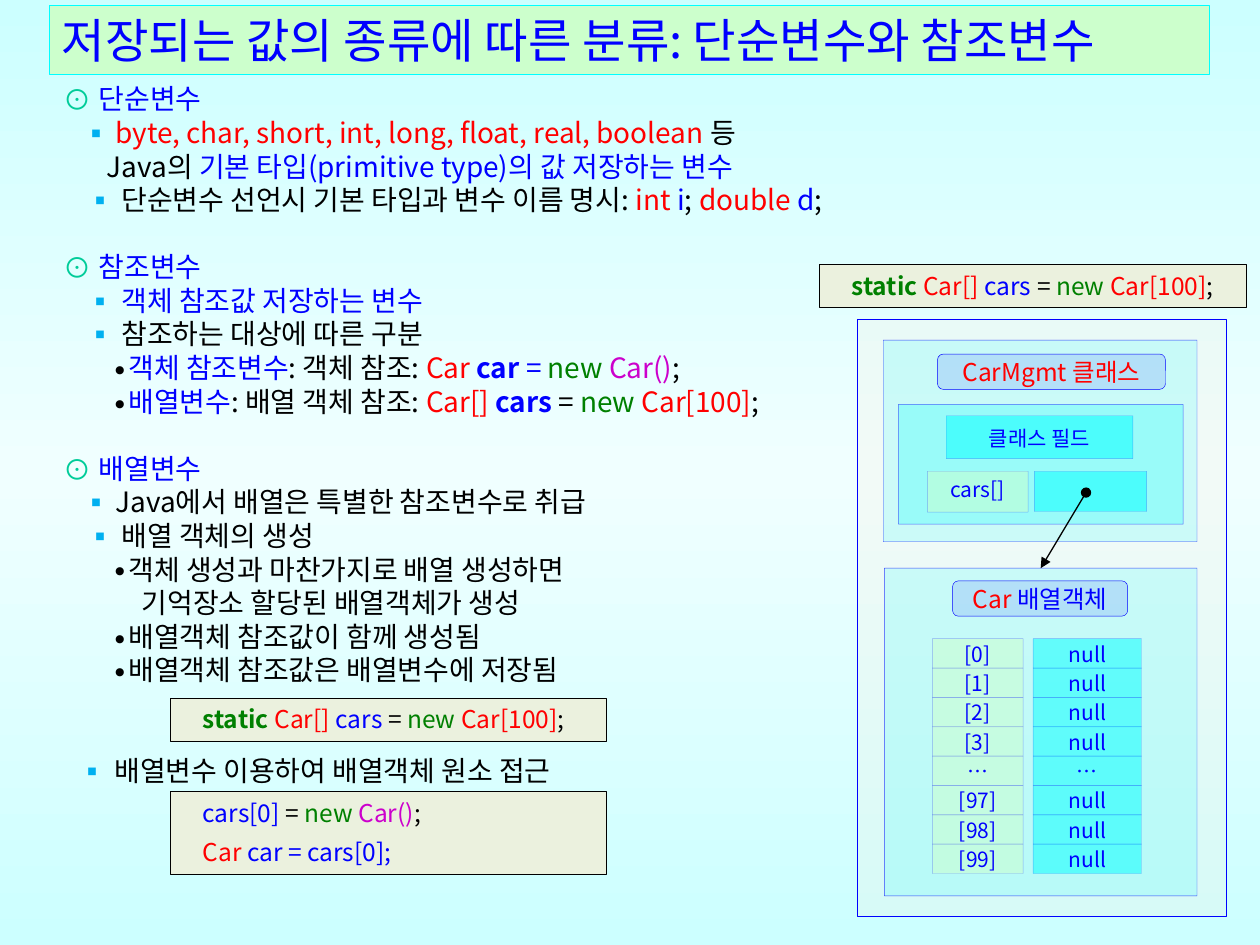
import copy
from dataclasses import dataclass

import pptx
import pptx.dml.color
import pptx.enum.shapes
import pptx.enum.text
import pptx.oxml
import pptx.oxml.ns
import pptx.util
from lxml import etree

Pt = pptx.util.Pt
SHAPE = pptx.enum.shapes.MSO_SHAPE
ALIGN = pptx.enum.text.PP_ALIGN
ANCHOR = pptx.enum.text.MSO_ANCHOR
qn = pptx.oxml.ns.qn


@dataclass(frozen=True)
class Theme:
    font: str = "Noto Sans CJK KR"
    title: int = 27
    body: int = 16
    code: int = 14
    cell: int = 12
    leading: float = 1.2
    black: str = "000000"
    blue: str = "0000FF"
    red: str = "FF0000"
    green: str = "008000"
    purple: str = "CC00CC"
    teal: str = "00CC99"
    sky: str = "00B0F0"
    cyan: str = "00FFFF"
    mint: str = "CCFFCC"
    cream: str = "EBF1DE"
    peach: str = "FDEADA"
    edge: str = "CCFFFF"
    middle: str = "F0FFFF"


T = Theme()

# Indents in points: bullet glyph, its colour, bullet position, text position
LEVELS = {
    "head": ("⊙", T.teal, 0, 20.5),
    "item": ("▪", T.sky, 13.5, 33.5),
    "latin": ("▪", T.sky, 11, 30),
    "last": ("▪", T.sky, 9, 29.5),
    "dot": ("∙", T.black, 27.5, 36.5),
    "more": (None, None, 25, 25),
    "deep": (None, None, 45, 45),
    "code": (None, None, 11.5, 11.5),
}

NEW_ARRAY = [("static ", T.green, True), ("Car[] ", T.red), ("cars ", T.blue),
             ("= ", T.black), ("new ", T.green), ("Car[100]", T.red), (";", T.black)]
NEW_CAR = [("cars[0] ", T.blue), ("= ", T.black), ("new ", T.green),
           ("Car()", T.purple), (";", T.black)]
USE_CAR = [("Car ", T.red), ("car = cars[0];", T.blue)]

# Body lines: level, blank lines before, spans
BODY = [
    ("head", 0, [("단순변수", T.blue)]),
    ("latin", 0, [("byte, char, short, int, long, float, real, boolean ", T.red), ("등", T.black)]),
    ("more", 0, [("Java의 ", T.black), ("기본 타입(primitive type)의 값 저장하는 변수", T.blue)]),
    ("item", 0, [("단순변수 선언시 기본 타입과 변수 이름 명시: ", T.black), ("int ", T.red),
                 ("i", T.blue), ("; ", T.black), ("double ", T.red), ("d", T.blue), (";", T.black)]),
    ("head", 1, [("참조변수", T.blue)]),
    ("item", 0, [("객체 참조값 저장하는 변수", T.blue)]),
    ("item", 0, [("참조하는 대상에 따른 구분", T.black)]),
    ("dot", 0, [("객체 참조변수", T.blue), (": 객체 참조: ", T.black), ("Car ", T.red),
                ("car ", T.blue, True), ("= ", T.blue), ("new ", T.green),
                ("Car()", T.purple), (";", T.black)]),
    ("dot", 0, [("배열변수", T.blue), (": 배열 객체 참조: ", T.black), ("Car[] ", T.red),
                ("cars ", T.blue, True)] + NEW_ARRAY[3:]),
    ("head", 1, [("배열변수", T.blue)]),
    ("latin", 0, [("Java에서 배열은 특별한 참조변수로 취급", T.black)]),
    ("item", 0, [("배열 객체의 생성", T.black)]),
    ("dot", 0, [("객체 생성과 마찬가지로 배열 생성하면", T.black)]),
    ("deep", 0, [("기억장소 할당된 배열객체가 생성", T.black)]),
    ("dot", 0, [("배열객체 참조값이 함께 생성됨", T.black)]),
    ("dot", 0, [("배열객체 참조값은 배열변수에 저장됨", T.black)]),
    ("last", 2, [("배열변수 이용하여 배열객체 원소 접근", T.black)]),
]


def rgb(color):
    return pptx.dml.color.RGBColor.from_string(color)


def apply_format(target, values):
    for name, value in values.items():
        setattr(target, name, value)


def place(shape, area):
    apply_format(shape, dict(zip(("left", "top", "width", "height"), map(Pt, area))))


def paint(shape, fill, line, fill_alpha=100, line_alpha=100):
    """Solid fill and hairline, each with an opacity in percent."""
    shape.fill.solid()
    shape.fill.fore_color.rgb = rgb(fill)
    shape.line.color.rgb = rgb(line)
    shape.line.width = Pt(0.25)
    for parent, alpha in (("p:spPr", fill_alpha), ("p:spPr/a:ln", line_alpha)):
        if alpha < 100:
            color = shape.element.xpath(f"./{parent}/a:solidFill/a:srgbClr")[0]
            etree.SubElement(color, qn("a:alpha"), val=str(alpha * 1000))


def set_level(para, level):
    glyph, color, bullet, text = LEVELS[level]
    props = para._p.get_or_add_pPr()
    props.set("marL", str(int(Pt(text))))
    props.set("indent", str(int(Pt(bullet - text))))
    if glyph is None:
        etree.SubElement(props, qn("a:buNone"))
        return
    holder = etree.SubElement(props, qn("a:buClr"))
    etree.SubElement(holder, qn("a:srgbClr"), val=color)
    etree.SubElement(props, qn("a:buFont"), typeface=T.font)
    etree.SubElement(props, qn("a:buChar"), char=glyph)


def write_para(para, spans, size, align=ALIGN.LEFT, level=None, before=0):
    if level:
        set_level(para, level)
    apply_format(para, {"alignment": align, "line_spacing": Pt(size * T.leading),
                        "space_before": Pt(before), "space_after": Pt(0)})
    for text, color, *bold in spans:
        span = para.add_run()
        span.text = text
        apply_format(span.font, {"name": T.font, "size": Pt(size), "bold": bool(bold)})
        span.font.color.rgb = rgb(color)
        etree.SubElement(span.font._element, qn("a:ea"), typeface=T.font)


def next_para(frame, index):
    return frame.add_paragraph() if index else frame.paragraphs[0]


def add_panel(page, area, fill, alpha, line_alpha=100, corner=0, kind=SHAPE.ROUNDED_RECTANGLE):
    panel = page.shapes.add_shape(kind, *map(Pt, area))
    panel.shadow.inherit = False
    if kind == SHAPE.ROUNDED_RECTANGLE:
        panel.adjustments[0] = corner
    paint(panel, fill, T.blue, alpha, line_alpha)
    return panel


def add_label(panel, spans, size=T.cell, top=1.4, anchor=ANCHOR.TOP):
    frame = panel.text_frame
    apply_format(frame, {"margin_left": 0, "margin_right": 0, "margin_top": Pt(top),
                         "margin_bottom": 0, "vertical_anchor": anchor, "word_wrap": True})
    write_para(frame.paragraphs[0], spans, size, ALIGN.CENTER)


def add_cell(page, area, text, fill, top=1.4):
    cell = add_panel(page, area, fill, 50, 30)
    if text:
        add_label(cell, [(text, T.blue)], top=top)


def add_header(page, area, spans):
    header = add_panel(page, area, T.blue, 10, corner=0.167)
    add_label(header, spans, T.code, 0, ANCHOR.MIDDLE)


def add_code(page, area, lines):
    box = page.shapes.add_shape(SHAPE.RECTANGLE, *map(Pt, area))
    box.shadow.inherit = False
    paint(box, T.cream, T.black)
    apply_format(box.text_frame, {"word_wrap": True, "vertical_anchor": ANCHOR.TOP})
    for index, spans in enumerate(lines):
        write_para(next_para(box.text_frame, index), spans, T.code, level="code",
                   before=6 if index else 0)


def add_arrow(page, start, target):
    """Dot-tailed arrow to the top middle of the target."""
    arrow = page.shapes.add_connector(pptx.enum.shapes.MSO_CONNECTOR.STRAIGHT,
                                      *map(Pt, start + start))
    arrow.end_connect(target, 0)
    arrow.line.color.rgb = rgb(T.black)
    arrow.line.width = Pt(0.75)
    outline = arrow.line._get_or_add_ln()
    etree.SubElement(outline, qn("a:headEnd"), type="oval")
    etree.SubElement(outline, qn("a:tailEnd"), type="triangle")
    etree.SubElement(arrow.element.spPr, qn("a:effectLst"))


def set_background(page):
    fill = page.background.fill
    fill.gradient()
    fill.gradient_angle = 90
    stops = page.element.xpath(".//a:gsLst")[0]
    stops.append(copy.deepcopy(stops[-1]))
    for stop, position, color in zip(fill.gradient_stops, (0, 0.5, 1), (T.edge, T.middle, T.edge)):
        stop.position = position
        stop.color.rgb = rgb(color)


def fill_placeholders(page):
    title, body = page.shapes.title, page.placeholders[1]
    place(title, (28.1, 2.9, 663.1, 39.6))
    paint(title, T.mint, T.cyan)
    place(body, (28.8, 43.2, 662.4, 414.7))
    for shape, anchor in ((title, ANCHOR.MIDDLE), (body, ANCHOR.TOP)):
        apply_format(shape.text_frame, {"auto_size": pptx.enum.text.MSO_AUTO_SIZE.NONE,
                                        "vertical_anchor": anchor, "word_wrap": True})
    write_para(title.text_frame.paragraphs[0],
               [("저장되는 값의 종류에 따른 분류: 단순변수와 참조변수", T.blue)], T.title)
    for index, (level, gap, spans) in enumerate(BODY):
        write_para(next_para(body.text_frame, index), spans, T.body, level=level,
                   before=gap * T.body * T.leading)


def draw_memory(page):
    # Nested panels
    add_panel(page, (489.6, 182.2, 211, 341.3), T.peach, 20, kind=SHAPE.RECTANGLE)
    array = add_panel(page, (505.4, 324.7, 178.6, 187.2), T.cyan, 15, 75)
    add_panel(page, (504.7, 194.4, 179.3, 115.2), T.cyan, 15, 75)
    add_panel(page, (513.4, 231.1, 162.7, 68.4), T.cyan, 25, 60)
    # Array elements
    top, pitch = 365, 16.77
    for row, index in enumerate(("[0]", "[1]", "[2]", "[3]", "…", "[97]", "[98]", "[99]")):
        y = top + row * pitch
        add_cell(page, (532.8, y, 51.8, pitch), index, T.mint)
        add_cell(page, (590.4, y, 61.9, pitch), "…" if index == "…" else "null", T.cyan)
    # Class field and its reference
    add_cell(page, (529.9, 269.3, 57.6, 23.4), "cars[]", T.mint, 2.9)
    add_cell(page, (591.1, 269.3, 64.1, 23), "", T.cyan)
    add_cell(page, (540.7, 237.6, 106.6, 24.5), "클래스 필드", T.cyan, 5.8)
    # Panel headers
    add_header(page, (544.3, 331.9, 100.1, 20.2), [("Car ", T.red), ("배열객체", T.blue)])
    add_header(page, (535.7, 202.3, 130.3, 20.2), [("CarMgmt 클래스", T.red)])
    add_arrow(page, (620.6, 281.5), array)


def main():
    deck = pptx.Presentation()
    deck.slide_width, deck.slide_height = Pt(720), Pt(540)
    page = deck.slides.add_slide(deck.slide_layouts[1])
    set_background(page)
    fill_placeholders(page)
    draw_memory(page)
    # Code samples
    add_code(page, (468, 151.2, 244.1, 24.5), [NEW_ARRAY])
    add_code(page, (97.2, 398.9, 249.1, 24.5), [NEW_ARRAY])
    add_code(page, (97.2, 452.2, 249.1, 47.5), [NEW_CAR, USE_CAR])
    deck.save("out.pptx")


if __name__ == "__main__":
    main()
